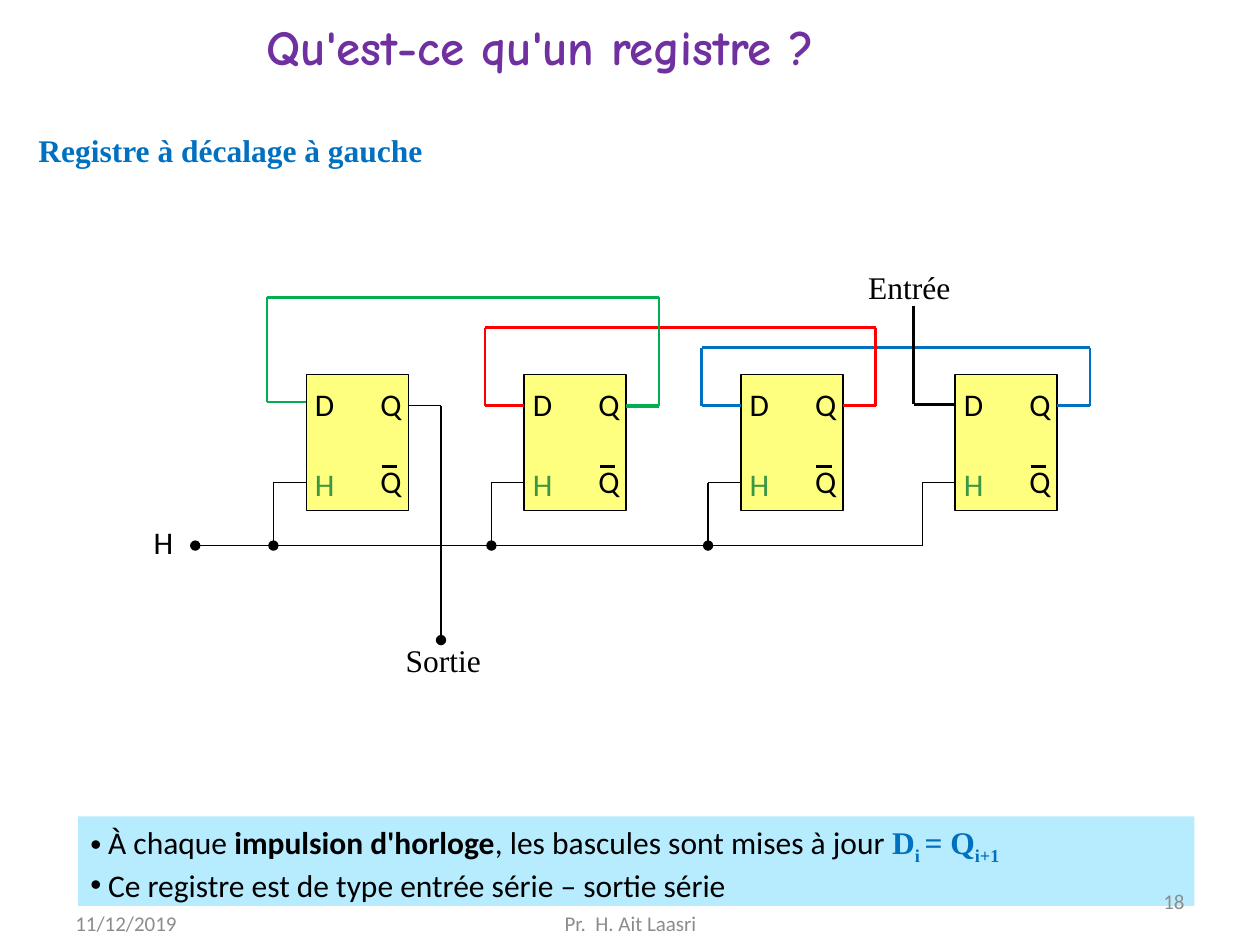
from dataclasses import dataclass
from itertools import pairwise
from typing import Optional

import lxml.etree
import pptx
import pptx.dml.color
import pptx.enum.shapes
import pptx.enum.text
import pptx.oxml.ns
import pptx.util

Inches = pptx.util.Inches
Align = pptx.enum.text.PP_ALIGN
Anchor = pptx.enum.text.MSO_ANCHOR
Point = tuple[float, float]


@dataclass(frozen=True)
class Theme:
    black: str = "000000"
    purple: str = "7030A0"
    blue: str = "0070C0"
    red: str = "FF0000"
    green: str = "00B050"
    clock: str = "3B9744"
    yellow: str = "FFFF00"
    panel: str = "B7ECFF"
    grey: str = "8C8C8C"
    body_font: str = "Calibri"
    serif_font: str = "Times New Roman"
    title_font: str = "Comic Neue"
    title_size: float = 28
    body_size: float = 18
    footer_size: float = 12
    thin: float = 0.75
    thick: float = 1.5
    heavy: float = 2.25


THEME = Theme()


@dataclass(frozen=True)
class Label:
    text: str
    left: float
    top: float
    width: float
    height: float
    color: str = THEME.black
    font: str = THEME.body_font
    size: float = THEME.body_size
    bold: bool = False
    align: Align = Align.LEFT
    anchor: Anchor = Anchor.MIDDLE
    padded: bool = False
    wrap: bool = True


@dataclass(frozen=True)
class Loop:
    """Feedback wire from the Q of the next flip-flop to a D input."""
    color: str
    top: float
    input_y: float
    end_width: float = THEME.thick


@dataclass(frozen=True)
class FlipFlop:
    left: float
    loop: Optional[Loop] = None


@dataclass(frozen=True)
class Piece:
    text: str
    formula: bool = False
    bold: bool = False
    subscript: bool = False


BOX_TOP, BOX_WIDTH, BOX_HEIGHT = 2.97, 0.81, 1.08
DATA_Y, CLOCK_Y, BUS_Y = 3.22, 3.83, 4.33

FLIP_FLOPS = [
    FlipFlop(2.43, Loop(THEME.green, 2.36, 3.19, THEME.heavy)),
    FlipFlop(4.16, Loop(THEME.red, 2.6, DATA_Y)),
    FlipFlop(5.88, Loop(THEME.blue, 2.76, DATA_Y)),
    FlipFlop(7.58),
]

LABELS = [
    Label("Qu'est-ce qu'un registre ?", 2.02, 0.08, 5.41, 0.57, THEME.purple, THEME.title_font,
          THEME.title_size, bold=True, anchor=Anchor.TOP, padded=True, wrap=False),
    Label("Registre à décalage à gauche", 0.19, 0.99, 3.28, 0.4, THEME.blue, THEME.serif_font,
          bold=True, align=Align.CENTER, anchor=Anchor.TOP, padded=True, wrap=False),
    Label("Sortie", 3.22, 5.09, 0.84, 0.3, font=THEME.serif_font),
    Label("Entrée", 6.89, 2.13, 0.79, 0.3, font=THEME.serif_font),
    Label("H", 1.22, 4.15, 0.21, 0.3),
]

FOOTERS = [
    ("11/12/2019", 0.5, 7.13, 2.33, Align.LEFT),
    ("18", 7.17, 6.95, 2.33, Align.RIGHT),
    ("Pr.  H. Ait Laasri", 3.42, 7.13, 3.17, Align.CENTER),
]

NOTES = [
    [Piece("À chaque\u00a0"), Piece("impulsion d'horloge", bold=True),
     Piece(", les bascules sont mises à jour "), Piece("D", True, True),
     Piece("i ", True, True, True), Piece("= Q", True, True), Piece("i+1", True, True, True)],
    [Piece("Ce registre est de type entrée série – sortie série")],
]


def rgb(color: str) -> pptx.dml.color.RGBColor:
    return pptx.dml.color.RGBColor.from_string(color)


def add_element(parent, tag: str, **attributes: str):
    return lxml.etree.SubElement(parent, pptx.oxml.ns.qn(tag), attributes)


def format_run(run, color: str, font: str, size: float, bold: bool) -> None:
    run.font.name = font
    run.font.size = pptx.util.Pt(size)
    run.font.bold = bold
    run.font.color.rgb = rgb(color)


def draw_label(slide, label: Label) -> None:
    box = slide.shapes.add_textbox(*map(Inches, (label.left, label.top, label.width, label.height)))
    frame = box.text_frame
    frame.word_wrap = label.wrap
    frame.vertical_anchor = label.anchor
    if not label.padded:
        frame.margin_left = frame.margin_right = frame.margin_top = frame.margin_bottom = 0
    frame.text = label.text
    paragraph = frame.paragraphs[0]
    paragraph.alignment = label.align
    format_run(paragraph.runs[0], label.color, label.font, label.size, label.bold)


def draw_wire(slide, points: list[Point], color: str = THEME.black,
              width: float = THEME.thin, dot: bool = False) -> None:
    for start, end in pairwise(points):
        line = slide.shapes.add_connector(pptx.enum.shapes.MSO_CONNECTOR.STRAIGHT,
                                          *map(Inches, (*start, *end)))
        line.line.color.rgb = rgb(color)
        line.line.width = pptx.util.Pt(width)
        if dot and end == points[-1]:
            add_element(line.line._get_or_add_ln(), "a:tailEnd", type="oval")
        add_element(line._element.spPr, "a:effectLst")


def draw_rectangle(slide, left: float, top: float, width: float, height: float, color: str):
    shape = slide.shapes.add_shape(pptx.enum.shapes.MSO_SHAPE.RECTANGLE,
                                   *map(Inches, (left, top, width, height)))
    shape.shadow.inherit = False
    shape.fill.solid()
    shape.fill.fore_color.rgb = rgb(color)
    shape.line.fill.background()
    return shape


def draw_flip_flop(slide, left: float) -> None:
    shape = draw_rectangle(slide, left, BOX_TOP, BOX_WIDTH, BOX_HEIGHT, THEME.yellow)
    color = shape._element.spPr.find(".//" + pptx.oxml.ns.qn("a:srgbClr"))
    add_element(color, "a:alpha", val="50000")
    shape.line.color.rgb = rgb(THEME.black)
    shape.line.width = pptx.util.Pt(THEME.thin)
    for text, offset, top, ink in [("D", 0.07, 3.06, THEME.black), ("Q", 0.59, 3.06, THEME.black),
                                   ("H", 0.07, 3.69, THEME.clock), ("Q", 0.59, 3.67, THEME.black)]:
        draw_label(slide, Label(text, left + offset, top, 0.13, 0.3, ink))
    draw_wire(slide, [(left + 0.6, 3.7), (left + 0.72, 3.7)], width=THEME.thick)


def draw_loop(slide, loop: Loop, left: float, next_left: float) -> None:
    output = next_left + BOX_WIDTH
    points = [(left, loop.input_y), (left - 0.31, loop.input_y), (left - 0.31, loop.top),
              (output + 0.26, loop.top), (output + 0.26, DATA_Y)]
    draw_wire(slide, points, loop.color, THEME.thick)
    draw_wire(slide, [points[-1], (output, DATA_Y)], loop.color, loop.end_width)


def draw_notes(slide) -> None:
    frame = draw_rectangle(slide, 0.62, 6.48, 8.86, 0.71, THEME.panel).text_frame
    frame.word_wrap = True
    frame.vertical_anchor = Anchor.TOP
    for index, pieces in enumerate(NOTES):
        paragraph = frame.add_paragraph() if index else frame.paragraphs[0]
        paragraph.alignment = Align.LEFT
        properties = paragraph._p.get_or_add_pPr()
        properties.set("marL", str(Inches(0.14)))
        properties.set("indent", str(-Inches(0.14)))
        add_element(properties, "a:buClr").append(lxml.etree.Element(
            pptx.oxml.ns.qn("a:srgbClr"), val=THEME.black))
        add_element(properties, "a:buFont", typeface="Arial")
        add_element(properties, "a:buChar", char="•")
        for piece in pieces:
            run = paragraph.add_run()
            run.text = piece.text
            color, font = ((THEME.blue, THEME.serif_font) if piece.formula
                           else (THEME.black, THEME.body_font))
            format_run(run, color, font, THEME.body_size, piece.bold)
            if piece.subscript:
                run.font._element.set("baseline", "-25000")


presentation = pptx.Presentation()
presentation.slide_width, presentation.slide_height = Inches(10), Inches(7.5)
slide = presentation.slides.add_slide(presentation.slide_layouts[6])

draw_notes(slide)

# Flip-flops with their clock branches
draw_wire(slide, [(7.32, BUS_Y), (1.55, BUS_Y)], dot=True)
for flip_flop in FLIP_FLOPS:
    draw_flip_flop(slide, flip_flop.left)
    branch = flip_flop.left - 0.26
    draw_wire(slide, [(flip_flop.left, CLOCK_Y), (branch, CLOCK_Y), (branch, BUS_Y)],
              dot=flip_flop.loop is not None)

# Feedback loops, serial input and serial output
for flip_flop, following in reversed(list(pairwise(FLIP_FLOPS))):
    draw_loop(slide, flip_flop.loop, flip_flop.left, following.left)
draw_wire(slide, [(7.25, 2.43), (7.25, 3.21), (7.59, 3.21)], width=THEME.thick)
draw_wire(slide, [(3.24, DATA_Y), (3.5, DATA_Y), (3.5, 5.08)], dot=True)

# Headings, terminal names and footer
for label in LABELS:
    draw_label(slide, label)
for text, left, top, width, align in FOOTERS:
    draw_label(slide, Label(text, left, top, width, 0.4, THEME.grey, size=THEME.footer_size,
                            align=align, padded=True))

presentation.save("out.pptx")
